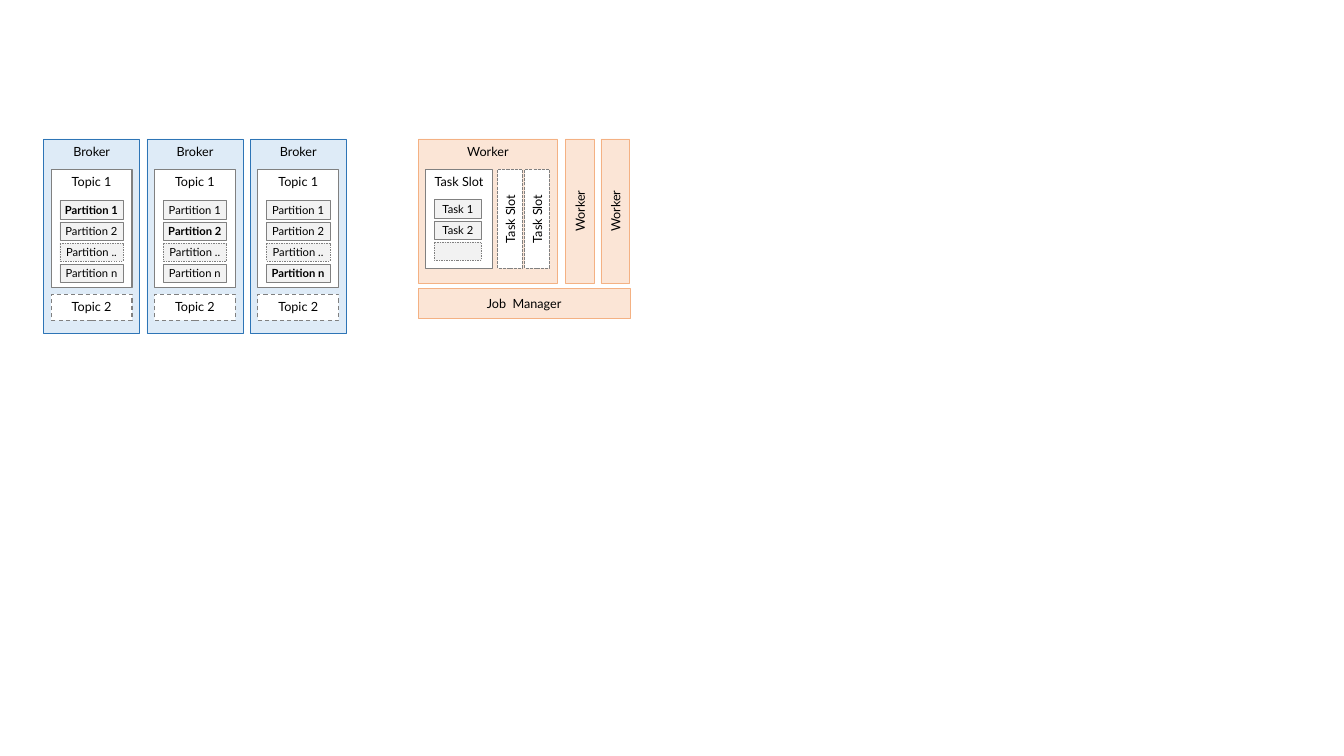
from dataclasses import dataclass

from pptx import Presentation
from pptx.dml.color import RGBColor as RGB
from pptx.enum.dml import MSO_LINE as DASH
from pptx.enum.shapes import MSO_SHAPE as SHAPE
from pptx.enum.text import MSO_ANCHOR as ANCHOR, PP_ALIGN as ALIGN
from pptx.util import Pt


@dataclass(frozen=True)
class Theme:
    font: str = "Lato"
    title: float = 9
    label: float = 8
    hairline: float = 0.25
    outline: float = 0.75
    text: str = "000000"
    white: str = "FFFFFF"
    grey: str = "808080"
    pale: str = "F2F2F2"
    blue: str = "2E75B6"
    light_blue: str = "DEEBF7"
    orange: str = "F4B183"
    light_orange: str = "FBE5D6"


class Diagram:
    """Draws broker and worker elements on one slide in a shared style."""

    def __init__(self, slide, theme):
        self.slide, self.theme = slide, theme

    def add_text(self, tf, text, size, bold=False, middle=False, inset=0, upright=False):
        tf.word_wrap = True
        tf.vertical_anchor = ANCHOR.MIDDLE if middle else ANCHOR.TOP
        tf.margin_left = tf.margin_right = Pt(inset)
        tf.margin_top = tf.margin_bottom = Pt(3.6)
        if upright:
            tf._txBody.bodyPr.set("vert", "vert270")
        p = tf.paragraphs[0]
        p.alignment = ALIGN.CENTER
        r = p.add_run()
        r.text = text
        r.font.name, r.font.size, r.font.bold = self.theme.font, Pt(size), bold
        r.font.color.rgb = RGB.from_string(self.theme.text)

    def box(self, at, fill, line, width, text="", dash=None, size=None, **fmt):
        s = self.slide.shapes.add_shape(SHAPE.RECTANGLE, *map(Pt, at))
        s.shadow.inherit = False
        s.fill.solid()
        s.fill.fore_color.rgb = RGB.from_string(fill)
        s.line.color.rgb = RGB.from_string(line)
        s.line.width = Pt(width)
        if dash:
            s.line.dash_style = dash
        if text:
            self.add_text(s.text_frame, text, size or self.theme.title, **fmt)

    def broker(self, at, text):
        t = self.theme
        self.box(at, t.light_blue, t.blue, t.hairline, text, inset=7.2)

    def worker(self, at, text, **fmt):
        t = self.theme
        self.box(at, t.light_orange, t.orange, t.hairline, text, **fmt)

    def panel(self, at, text, **fmt):
        t = self.theme
        self.box(at, t.white, t.grey, t.outline, text, **fmt)

    def item(self, at, text, **fmt):
        t = self.theme
        self.box(at, t.pale, t.grey, t.hairline, text, size=t.label, middle=True, **fmt)


def draw_brokers(d, top, panel_top, row_pitch):
    partitions = ("Partition 1", "Partition 2", "Partition ..", "Partition n")
    for i, leader in enumerate(("Partition 1", "Partition 2", "Partition n")):
        x = 31.2 + i * 73.8
        d.broker((x, top, 68.6, 139), "Broker")
        d.panel((x + 5.3, panel_top, 57.8, 84.2), "Topic 1", inset=7.2)
        for row, name in enumerate(partitions):
            d.item((x + 11.5, 143.3 + row * row_pitch, 45.4, 13), name,
                   bold=name == leader, dash=DASH.DASH if row == 2 else None)
        d.panel((x + 5.3, 210.2, 57.8, 18.7), "Topic 2", dash=DASH.DASH, inset=7.2)


def draw_workers(d, top, panel_top, row_pitch):
    left, height, slot_height = 298.8, 103, 70.6
    d.worker((left, top, 99.4, height), "Worker", inset=7.2)
    d.panel((left + 5, panel_top, 48.2, slot_height), "Task Slot")
    for row, name in enumerate(("Task 1", "Task 2", "")):
        d.item((left + 11.4, 142.6 + row * row_pitch, 33.8, 13), name,
               dash=None if name else DASH.DASH)
    for i in range(2):
        d.panel((355.6 + i * 19.3, panel_top, 17.4, slot_height), "Task Slot",
                dash=DASH.SQUARE_DOT, middle=True, upright=True)
        d.worker((403.8 + i * 25.4, top, 20.6, height), "Worker", middle=True, upright=True)
    d.worker((left, 206, 151.2, 21.5), "Job  Manager", middle=True)


def main():
    prs = Presentation()
    prs.slide_width, prs.slide_height = Pt(960), Pt(540)
    d = Diagram(prs.slides.add_slide(prs.slide_layouts[6]), Theme())
    levels = {"top": 99.3, "panel_top": 121, "row_pitch": 15.1}
    draw_brokers(d, **levels)
    draw_workers(d, **levels)
    prs.save("out.pptx")


if __name__ == "__main__":
    main()
